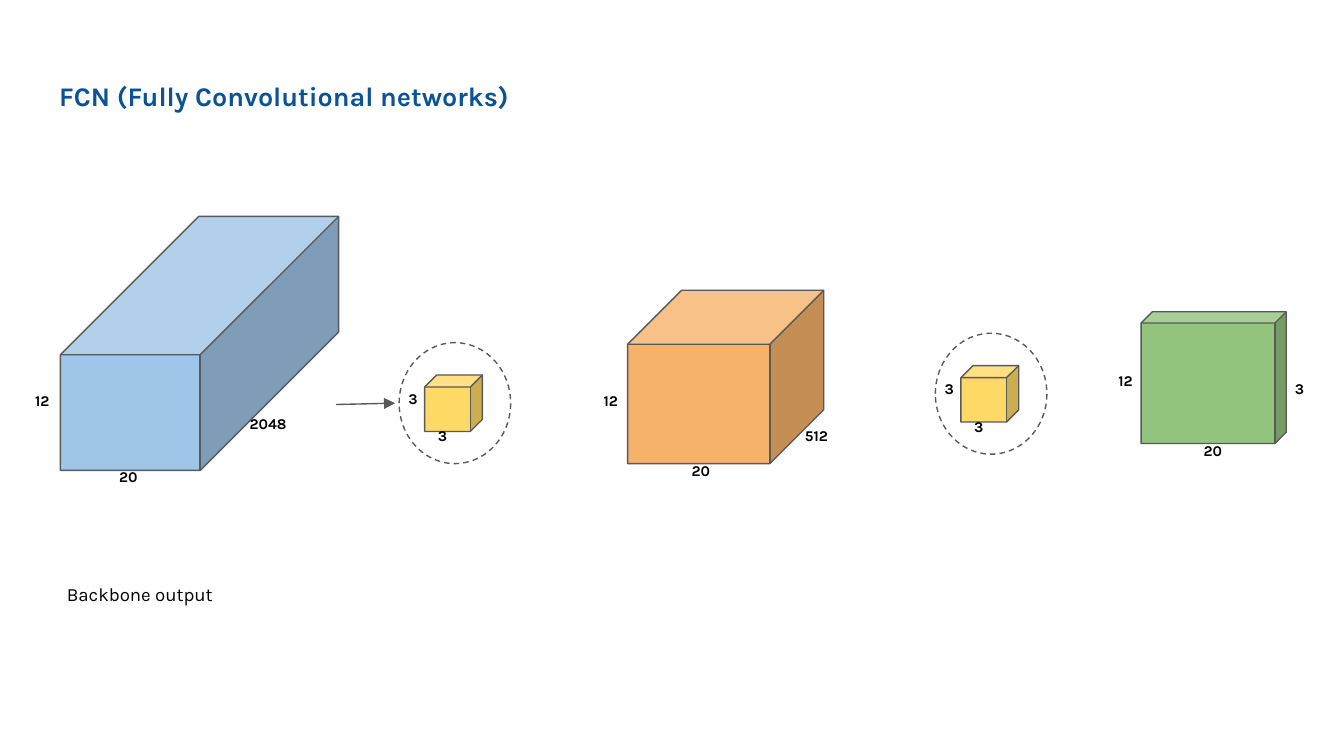
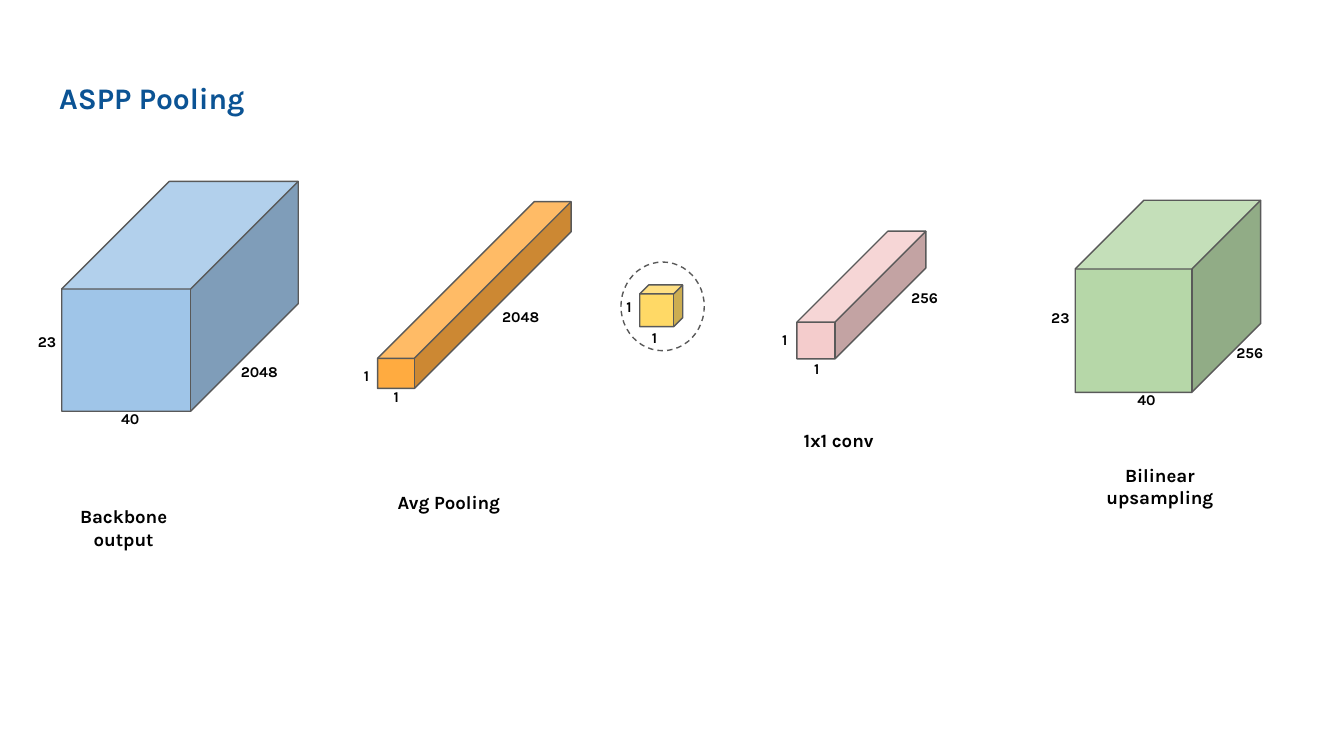
"""Build two slides that show FCN and ASPP pooling as blocks of features."""
from dataclasses import dataclass
from typing import Optional

import pptx
import pptx.dml.color
import pptx.enum.dml
import pptx.enum.shapes
import pptx.enum.text
import pptx.oxml
import pptx.oxml.ns
import pptx.util
from pptx.util import Inches

FONT = "Karla"
COLORS = {
    "title": "0B5394",
    "text": "000000",
    "line": "595959",
    "blue": "9FC5E8",
    "orange": "F6B26B",
    "amber": "FFAB40",
    "yellow": "FFD966",
    "green": "93C47D",
    "pale_green": "B6D7A8",
    "pink": "F4CCCC",
}
Box = tuple[float, float, float, float]


@dataclass
class Label:
    text: str
    left: float
    top: float
    width: float
    height: float = 0.34
    size: float = 8
    bold: bool = True


@dataclass
class Caption(Label):
    height: float = 0.37
    size: float = 10


@dataclass
class Block:
    box: Box
    depth: float
    fill: str
    labels: list[Label]
    ring: Optional[Box] = None


@dataclass
class Diagram:
    title: str
    title_size: float
    blocks: list[Block]
    captions: list[Caption]
    arrows: list[Box]


def kernel(left: float, top: float) -> Block:
    """Describe a 3 by 3 kernel inside its dashed ring."""
    return Block(
        (left + 0.19, top + 0.24, 0.43, 0.42), 0.214, "yellow",
        [Label("3", left - 0.03, top + 0.28, 0.22), Label("3", left + 0.19, top + 0.56, 0.22)],
        ring=(left, top, 0.83, 0.9),
    )


DIAGRAMS = [
    Diagram(
        "FCN (Fully Convolutional networks)", 14.4,
        [
            Block((0.45, 1.61, 2.07, 1.89), 0.545, "blue",
                  [Label("12", 0.11, 2.85, 0.41), Label("20", 0.75, 3.41, 0.41),
                   Label("2048", 1.72, 3.02, 0.55)]),
            kernel(2.97, 2.55),
            Block((4.67, 2.16, 1.46, 1.29), 0.311, "orange",
                  [Label("12", 4.34, 2.85, 0.41), Label("20", 5.01, 3.37, 0.41),
                   Label("512", 5.8, 3.11, 0.55)]),
            kernel(6.96, 2.48),
            Block((8.49, 2.32, 1.08, 0.98), 0.085, "green",
                  [Label("12", 8.17, 2.7, 0.41), Label("20", 8.82, 3.22, 0.41),
                   Label("3", 9.52, 2.76, 0.3)]),
        ],
        [Caption("Backbone output", 0.24, 4.25, 1.6, bold=False)],
        [(2.5, 3.01, 2.94, 3)],
    ),
    Diagram(
        "ASPP Pooling", 16,
        [
            Block((0.46, 1.35, 1.76, 1.71), 0.468, "blue",
                  [Label("23", 0.1, 2.41, 0.5), Label("40", 0.72, 2.98, 0.5),
                   Label("2048", 1.6, 2.63, 0.66)]),
            Block((2.81, 1.5, 1.44, 1.39), 0.839, "amber",
                  [Label("1", 2.61, 2.66, 0.23), Label("1", 2.83, 2.82, 0.23),
                   Label("2048", 3.58, 2.22, 0.59)]),
            Block((4.76, 2.12, 0.32, 0.31), 0.214, "yellow",
                  [Label("1", 4.6, 2.15, 0.16), Label("1", 4.79, 2.38, 0.16)],
                  ring=(4.62, 1.95, 0.62, 0.66)),
            Block((5.93, 1.72, 0.96, 0.95), 0.712, "pink",
                  [Label("1", 5.72, 2.39, 0.21), Label("1", 5.96, 2.61, 0.21),
                   Label("256", 6.66, 2.08, 0.44)]),
            Block((8, 1.49, 1.38, 1.43), 0.371, "pale_green",
                  [Label("23", 7.63, 2.23, 0.52), Label("40", 8.27, 2.84, 0.52),
                   Label("256", 8.96, 2.49, 0.68)]),
        ],
        [
            Caption("Backbone output", 0.4, 3.66, 1.04, 0.54),
            Caption("Avg Pooling", 2.82, 3.57, 1.04),
            Caption("1x1 conv", 5.72, 3.11, 1.04),
            Caption("Bilinear upsampling", 8.11, 3.35, 1.04, 0.54),
        ],
        [],
    ),
]


def rgb(name: str) -> pptx.dml.color.RGBColor:
    """Look up a named colour."""
    return pptx.dml.color.RGBColor.from_string(COLORS[name])


def style_text(tf, text: str, size: float, color: str, bold: bool, align: str) -> None:
    """Set the text of a frame and format it."""
    tf.text = text
    tf.word_wrap = True
    tf.vertical_anchor = pptx.enum.text.MSO_ANCHOR.TOP
    tf.margin_left = tf.margin_right = tf.margin_top = tf.margin_bottom = Inches(0.1)
    p = tf.paragraphs[0]
    p.alignment = pptx.enum.text.PP_ALIGN[align]
    p.font.name = FONT
    p.font.size = pptx.util.Pt(size)
    p.font.bold = bold
    p.font.color.rgb = rgb(color)


def style_line(line) -> None:
    """Apply the shared outline."""
    line.color.rgb = rgb("line")
    line.width = pptx.util.Pt(0.75)


def add_title(slide, text: str, size: float) -> None:
    """Place and fill the title placeholder."""
    sp = slide.shapes.title
    sp.left, sp.top, sp.width, sp.height = map(Inches, (0.34, 0.49, 4.15, 0.49))
    style_text(sp.text_frame, text, size, "title", True, "LEFT")
    sp.text_frame.auto_size = pptx.enum.text.MSO_AUTO_SIZE.NONE


def add_label(shapes, label: Label) -> None:
    """Write a centred label that grows with its text."""
    box = (label.left, label.top, label.width, label.height)
    sp = shapes.add_textbox(*map(Inches, box))
    style_text(sp.text_frame, label.text, label.size, "text", label.bold, "CENTER")
    sp.text_frame.auto_size = pptx.enum.text.MSO_AUTO_SIZE.SHAPE_TO_FIT_TEXT


def add_outlined(shapes, kind: str, box: Box):
    """Add a preset shape with the shared outline and no shadow."""
    sp = shapes.add_shape(pptx.enum.shapes.MSO_SHAPE[kind], *map(Inches, box))
    sp.shadow.inherit = False
    style_line(sp.line)
    return sp


def add_block(slide, block: Block) -> None:
    """Draw a block, its ring if it has one, and its dimensions as a group."""
    shapes = slide.shapes.add_group_shape().shapes
    if block.ring:
        ring = add_outlined(shapes, "OVAL", block.ring)
        ring.fill.background()
        ring.line.dash_style = pptx.enum.dml.MSO_LINE.DASH
    cube = add_outlined(shapes, "CUBE", block.box)
    cube.adjustments[0] = block.depth
    cube.fill.solid()
    cube.fill.fore_color.rgb = rgb(block.fill)
    for label in block.labels:
        add_label(shapes, label)


def add_arrow(shapes, ends: Box) -> None:
    """Draw a straight arrow."""
    c = shapes.add_connector(pptx.enum.shapes.MSO_CONNECTOR.STRAIGHT, *map(Inches, ends))
    style_line(c.line)
    ns = pptx.oxml.ns.nsdecls("a")
    props = c._element.spPr
    line = props.find(pptx.oxml.ns.qn("a:ln"))
    line.append(pptx.oxml.parse_xml(f'<a:tailEnd {ns} type="triangle"/>'))
    props.append(pptx.oxml.parse_xml(f"<a:effectLst {ns}/>"))


def main() -> None:
    """Build the slides and save them."""
    prs = pptx.Presentation()
    prs.slide_width = Inches(10)
    prs.slide_height = Inches(10 * 9 / 16)
    for diagram in DIAGRAMS:
        slide = prs.slides.add_slide(prs.slide_layouts[5])
        add_title(slide, diagram.title, diagram.title_size)
        for block in diagram.blocks:
            add_block(slide, block)
        for caption in diagram.captions:
            add_label(slide.shapes, caption)
        for ends in diagram.arrows:
            add_arrow(slide.shapes, ends)
    prs.save("out.pptx")


if __name__ == "__main__":
    main()
